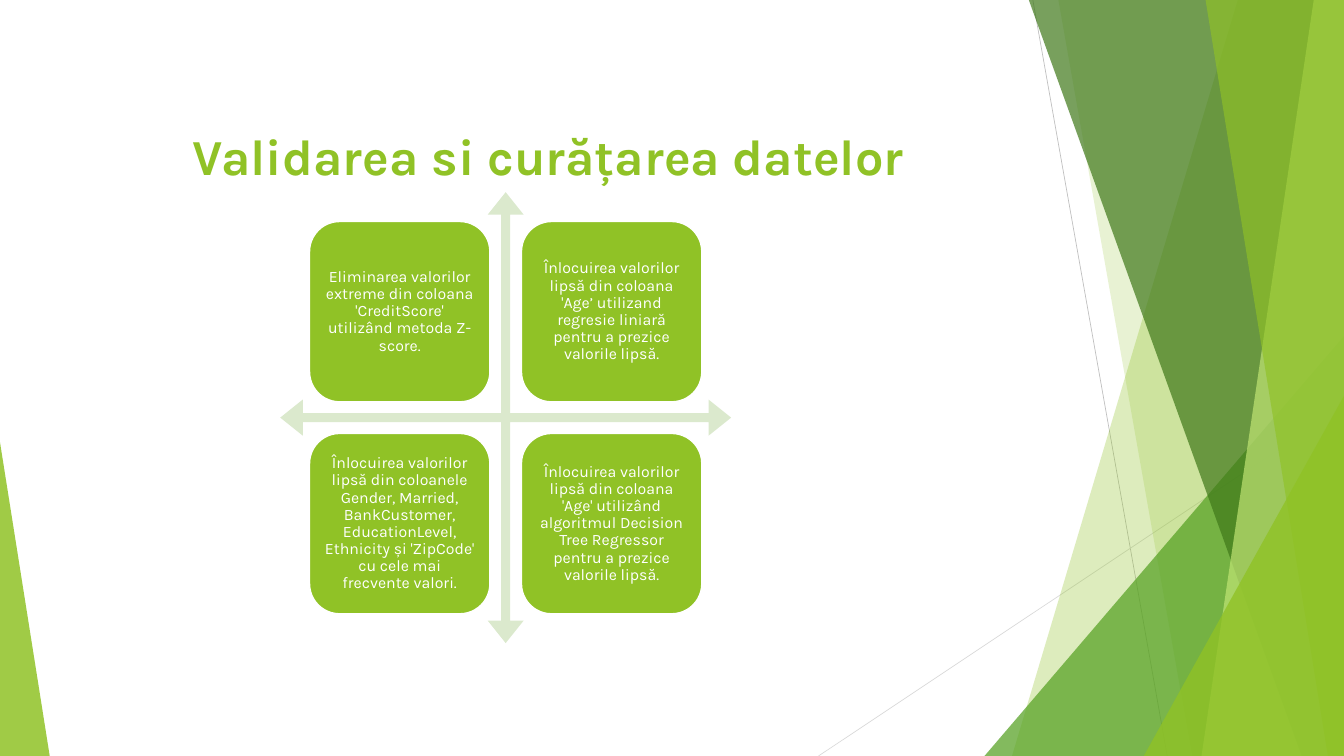
from lxml.etree import SubElement
from pptx import Presentation
from pptx.dml.color import RGBColor
from pptx.enum.shapes import MSO_CONNECTOR as Link, MSO_SHAPE as Kind
from pptx.enum.text import MSO_ANCHOR as Anchor, MSO_AUTO_SIZE as Fit, PP_ALIGN as Align
from pptx.oxml.ns import qn
from pptx.util import Inches, Pt

FONT = "Karla"
GREEN = "90C226"
WHITE = "FFFFFF"
WIDE, HIGH = 20, 11.25
CARDS = [
    "Eliminarea valorilor extreme din coloana 'CreditScore' utilizând metoda Z-score.",
    "Înlocuirea valorilor lipsă din coloana 'Age’ utilizand regresie liniară "
    "pentru a prezice valorile lipsă.",
    "Înlocuirea valorilor lipsă din coloanele Gender, Married, BankCustomer, "
    "EducationLevel, Ethnicity și 'ZipCode' cu cele mai frecvente valori.",
    "Înlocuirea valorilor lipsă din coloana 'Age' utilizând algoritmul Decision "
    "Tree Regressor pentru a prezice valorile lipsă.",
]


def paint(part, tone):
    """Set a colour format from a hex string."""
    part.rgb = RGBColor.from_string(tone)


def fill(shape, tone, alpha=100):
    """Give a shape a flat fill, no line and no shadow."""
    shape.shadow.inherit = False
    shape.line.fill.background()
    shape.fill.solid()
    paint(shape.fill.fore_color, tone)
    if alpha < 100:
        node = shape.fill._xPr.find(qn("a:solidFill"))[0]
        SubElement(node, qn("a:alpha")).set("val", str(alpha * 1000))


def write(para, text, size, tone, bold=False):
    """Add one centred run to a paragraph."""
    para.alignment = Align.CENTER
    run = para.add_run()
    run.text = text
    font = run.font
    font.name, font.size, font.bold = FONT, Pt(size), bold
    paint(font.color, tone)


def add_line(slide, start, end, tone):
    """Draw a thin straight line between two points."""
    line = slide.shapes.add_connector(
        Link.STRAIGHT, *(Inches(n) for n in (*start, *end)))
    paint(line.line.color, tone)
    line.line.width = Pt(0.75)
    SubElement(line._element.spPr, qn("a:effectLst"))


def add_band(slide, box, top, foot, tone, alpha):
    """Draw a full-height band from a slanted left edge to the right of the box."""
    left, head, width, height = box
    right, base = left + width, head + height
    points = [(left + top, head), (right, head), (right, base), (left + foot, base)]
    points = [(Inches(x), Inches(y)) for x, y in points]
    form = slide.shapes.build_freeform(*points[0])
    form.add_line_segments(points[1:], close=True)
    fill(form.convert_to_shape(), tone, alpha)


def add_wedge(slide, box, peak, tone, alpha):
    """Draw a right triangle in the box with its peak at one side."""
    shape = slide.shapes.add_shape(Kind.ISOSCELES_TRIANGLE, *(Inches(n) for n in box))
    shape.adjustments[0] = peak
    fill(shape, tone, alpha)


def add_decor(slide, box):
    """Layer the translucent green facets inside the right-hand box."""
    left, top, width, height = box
    right, base = left + width, top + height
    add_line(slide, (left + 0.31, top), (left + 2.31, base), "BFBFBF")
    add_line(slide, (right, top + 6.04), (left - 2.88, base), "D9D9D9")
    add_band(slide, box, 3.36, 0, GREEN, 30)
    add_band(slide, box, 0.69, 2.68, GREEN, 20)
    add_wedge(slide, (right - 5.35, base - 6.25, 5.35, 6.25), 1, "54A021", 72)
    add_band(slide, box, 0.25, 4.31, "3F7819", 70)
    add_band(slide, box, 4.49, 2.82, "C0E474", 70)
    add_band(slide, box, 2.88, 4.7, GREEN, 65)
    add_wedge(slide, (right - 2.98, base - 5.36, 2.98, 5.36), 1, GREEN, 80)


def add_title(slide, box, text):
    """Fill and place the title placeholder."""
    title = slide.shapes.title
    title.left, title.top, title.width, title.height = (Inches(n) for n in box)
    frame = title.text_frame
    frame.auto_size, frame.word_wrap = Fit.NONE, True
    frame.vertical_anchor = Anchor.MIDDLE
    frame.margin_top = Inches(0.44)
    write(frame.paragraphs[0], text, 54, GREEN, True)


def add_card(slide, box, text):
    """Draw one rounded card with centred text."""
    card = slide.shapes.add_shape(Kind.ROUNDED_RECTANGLE, *(Inches(n) for n in box))
    fill(card, GREEN)
    paint(card.line.color, WHITE)
    card.line.width = Pt(1.5)
    frame = card.text_frame
    frame.word_wrap, frame.vertical_anchor = True, Anchor.MIDDLE
    frame.margin_left = frame.margin_right = Inches(0.07)
    frame.margin_top = frame.margin_bottom = Inches(0.07)
    para = frame.paragraphs[0]
    para.line_spacing = 0.9
    write(para, text, 17, WHITE)


def add_matrix(slide, box, cards):
    """Draw the four-way arrow with a card in each quarter."""
    left, top, width, height = box
    arrow = slide.shapes.add_shape(Kind.QUAD_ARROW, *(Inches(n) for n in box))
    for i, value in enumerate((0.02, 0.04, 0.05)):
        arrow.adjustments[i] = value
    fill(arrow, "DBE9CD")
    side, edge = 0.4 * width, 0.065 * width
    step = width - 2 * edge - side
    for i, text in enumerate(cards):
        row, col = divmod(i, 2)
        spot = (left + edge + col * step, top + edge + row * step, side, side)
        add_card(slide, spot, text)


def main():
    """Build the slide and save it."""
    deck = Presentation()
    deck.slide_width, deck.slide_height = Inches(WIDE), Inches(HIGH)
    slide = deck.slides.add_slide(deck.slide_layouts[5])
    add_decor(slide, (15.06, 0, 4.94, HIGH))
    add_wedge(slide, (0, 6.58, 0.74, 4.67), 0, GREEN, 85)
    add_title(slide, (1.11, 1, 14.1, 2.23), "Validarea si curățarea datelor")
    add_matrix(slide, (4.17, 2.86, 6.71, 6.71), CARDS)
    deck.save("out.pptx")


if __name__ == "__main__":
    main()
